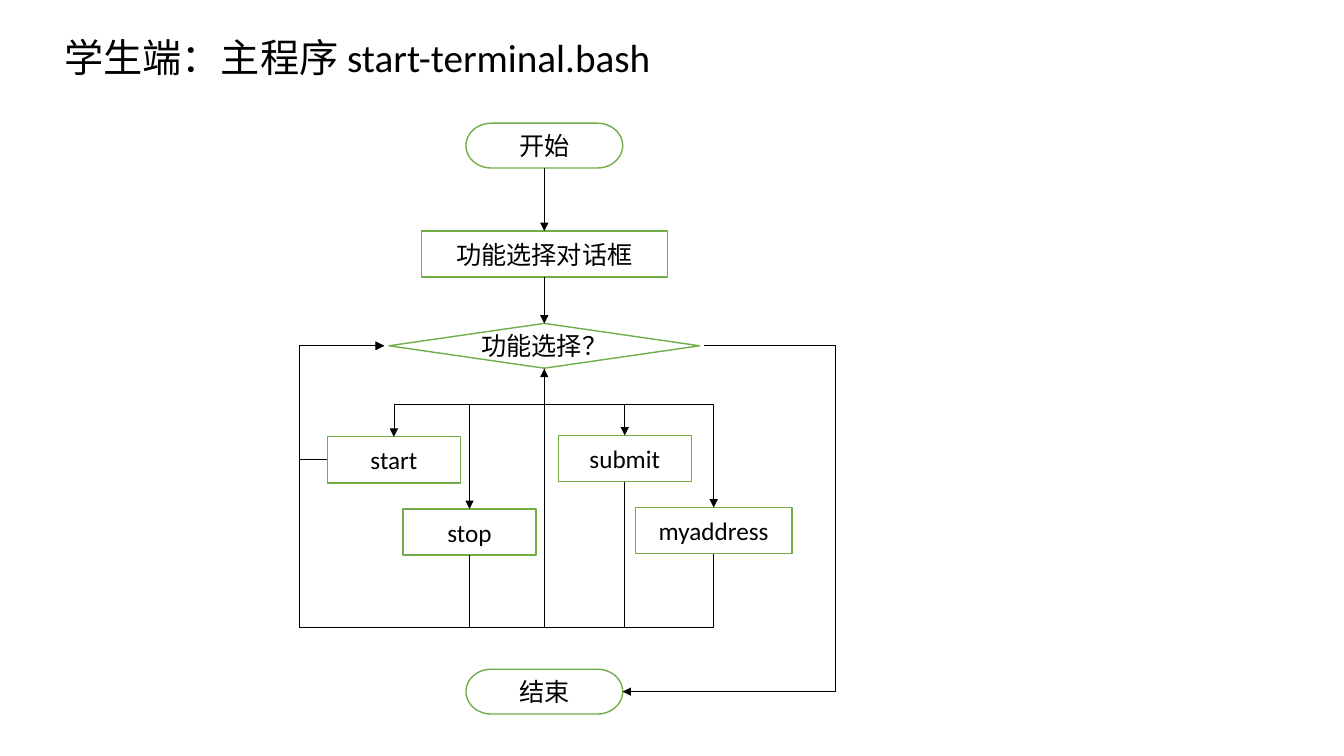
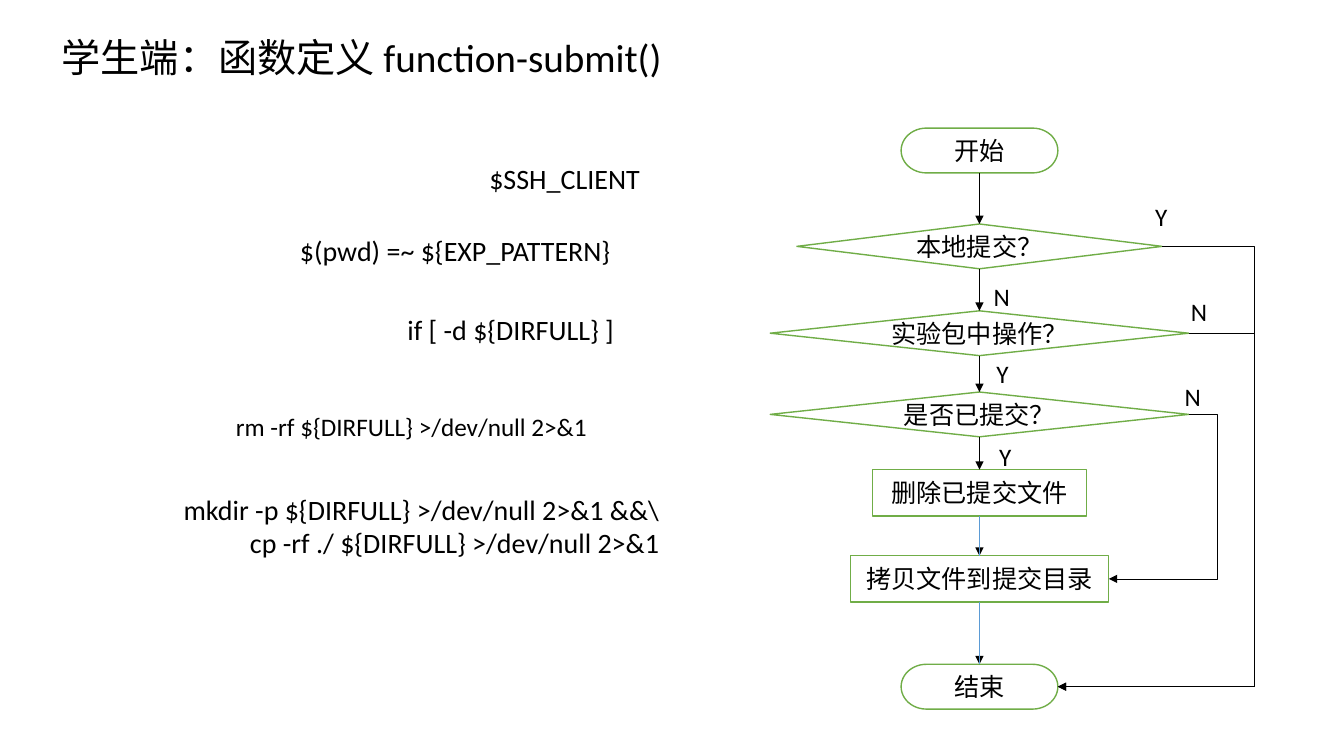
import itertools
import pptx
import pptx.util
import pptx.dml.color
import pptx.enum.shapes
import pptx.enum.text
import pptx.oxml
import pptx.oxml.ns
import lxml.etree

Pt = pptx.util.Pt
KIND = pptx.enum.shapes.MSO_SHAPE
WIRE = pptx.enum.shapes.MSO_CONNECTOR.STRAIGHT
ALIGN = pptx.enum.text.PP_ALIGN
ANCHOR = pptx.enum.text.MSO_ANCHOR
FIT = pptx.enum.text.MSO_AUTO_SIZE
qn = pptx.oxml.ns.qn

BLACK, WHITE, GREEN, BLUE = "000000", "FFFFFF", "70AD47", "5B9BD5"
LATIN, ASIAN = "Calibri", "Noto Sans CJK SC"
PILL, RHOMB, RECT = KIND.FLOWCHART_TERMINATOR, KIND.DIAMOND, KIND.RECTANGLE
TALL = {PILL: 32, RHOMB: 32, RECT: 33}
TOP, LEFT, BOTTOM, RIGHT = range(4)


def color(code):
    return pptx.dml.color.RGBColor.from_string(code)


def write(shape, text, size=18, align=ALIGN.LEFT, anchor=ANCHOR.TOP, pad=3.6):
    frame = shape.text_frame
    frame.auto_size = FIT.NONE
    frame.word_wrap = True
    frame.vertical_anchor = anchor
    frame.margin_left = frame.margin_right = Pt(3.6)
    frame.margin_top = frame.margin_bottom = Pt(pad)
    for i, line in enumerate(text.split("\n")):
        para = frame.add_paragraph() if i else frame.paragraphs[0]
        para.alignment = align
        run = para.add_run()
        run.text = line
        run.font.size = Pt(size)
        run.font.name = LATIN
        run.font.color.rgb = color(BLACK)
        east = lxml.etree.SubElement(run.font._element, qn("a:ea"))
        east.set("typeface", ASIAN)


def start(deck, title, x):
    slide = deck.slides.add_slide(deck.slide_layouts[5])
    head = slide.shapes.title
    head.left, head.top, head.width, head.height = Pt(x), Pt(20), Pt(470), Pt(41)
    write(head, title, size=28)
    return slide


def node(slide, kind, text, mid, top, wide):
    shape = slide.shapes.add_shape(
        kind, Pt(mid - wide / 2), Pt(top), Pt(wide), Pt(TALL[kind]))
    shape.shadow.inherit = False
    shape.fill.solid()
    shape.fill.fore_color.rgb = color(WHITE)
    shape.line.color.rgb = color(GREEN)
    shape.line.width = Pt(1)
    write(shape, text, align=ALIGN.CENTER, anchor=ANCHOR.MIDDLE, pad=0)
    return shape


def label(slide, text, x, y, wide=20, tall=29, **style):
    box = slide.shapes.add_textbox(Pt(x), Pt(y), Pt(wide), Pt(tall))
    write(box, text, **style)


def ink(wire, code=BLACK, head=True):
    wire.line.color.rgb = color(code)
    wire.line.width = Pt(0.5)
    if head:
        line = wire._element.spPr.find(qn("a:ln"))
        lxml.etree.SubElement(line, qn("a:tailEnd")).set("type", "triangle")


def link(slide, above, below, **style):
    wire = slide.shapes.add_connector(WIRE, 0, 0, 0, 0)
    wire.begin_connect(above, BOTTOM)
    wire.end_connect(below, TOP)
    ink(wire, **style)
    lxml.etree.SubElement(wire._element.spPr, qn("a:effectLst"))


def route(slide, *points):
    first, *rest = [(Pt(x), Pt(y)) for x, y in points]
    pen = slide.shapes.build_freeform(*first)
    pen.add_line_segments(rest, close=False)
    path = pen.convert_to_shape()
    path.shadow.inherit = False
    path.fill.background()
    ink(path)


def menu(deck):
    slide = start(deck, "学生端：主程序 start-terminal.bash", 42.5)
    mid, bus, base, side = 389, 289, 448.5, 214
    level, under = 247, 263.5
    begin = node(slide, PILL, "开始", mid + 3, 88, 112)
    begin.left = Pt(333)
    ask = node(slide, RECT, "功能选择对话框", mid, 165, 176)
    pick = node(slide, RHOMB, "功能选择？", mid, 231, 222)
    node(slide, PILL, "结束", mid, 478, 112)
    link(slide, begin, ask)
    link(slide, ask, pick)
    tasks = [("start", 281.5, 312, 95), ("stop", 335.5, 363.5, 95),
             ("submit", 446.5, 311, 95), ("myaddress", 510, 362.5, 112)]
    for name, x, top, wide in tasks:
        node(slide, RECT, name, x, top, wide)
        route(slide, (mid, under), (mid, bus), (x, bus), (x, top))
    for name, x, top, wide in tasks[1:]:
        route(slide, (x, top + TALL[RECT]), (x, base), (side, base),
              (side, level), (274.5, level))
    route(slide, (234, 328.5), (side, 328.5), (side, base), (mid, base), (mid, under))
    route(slide, (503.5, level), (597, level), (597, 494), (445, 494))


def submit(deck):
    slide = start(deck, "学生端：函数定义 function-submit()", 40.5)
    mid = 700
    flow = [(PILL, "开始", 91.5, 112), (RHOMB, "本地提交？", 160, 261),
            (RHOMB, "实验包中操作？", 222, 299), (RHOMB, "是否已提交？", 280, 299),
            (RECT, "删除已提交文件", 335.5, 153),
            (RECT, "拷贝文件到提交目录", 397, 184.5), (PILL, "结束", 474.5, 112)]
    steps = [node(slide, kind, text, mid, top, wide) for kind, text, top, wide in flow]
    pairs = list(itertools.pairwise(steps))
    for above, below in pairs:
        link(slide, above, below)
    for above, below in pairs[-2:]:
        link(slide, above, below, code=BLUE, head=False)
    for x, y, turn, last, stop in [(830.5, 176, 896.5, 490.5, 756),
                                   (849.5, 238, 896.5, 490.5, 756),
                                   (849.5, 296, 870, 413.5, 792.5)]:
        route(slide, (x, y), (turn, y), (turn, last), (stop, last))
    for text, x, y in [("Y", 822, 140.5), ("N", 706.5, 197.5), ("N", 847.5, 208),
                       ("Y", 708.5, 252.5), ("N", 843, 268.5), ("Y", 710.5, 312)]:
        label(slide, text, x, y)
    for text, x, y, wide, tall in [
            ("$SSH_CLIENT", 79, 111.5, 382, 31),
            ("$(pwd) =~ ${EXP_PATTERN}", 118, 163.5, 322, 31),
            ("if [ -d ${DIRFULL} ]", 211.5, 219.5, 231, 31),
            ("mkdir -p ${DIRFULL} >/dev/null 2>&1 &&\\\n"
             "cp -rf ./ ${DIRFULL} >/dev/null 2>&1", 45, 348, 430, 55)]:
        label(slide, text, x, y, wide, tall, size=20, align=ALIGN.RIGHT)
    label(slide, "rm -rf ${DIRFULL} >/dev/null 2>&1", 165, 290, 338)


def main():
    deck = pptx.Presentation()
    deck.slide_width, deck.slide_height = Pt(960.5), Pt(540)
    menu(deck)
    submit(deck)
    deck.save("out.pptx")


if __name__ == "__main__":
    main()
